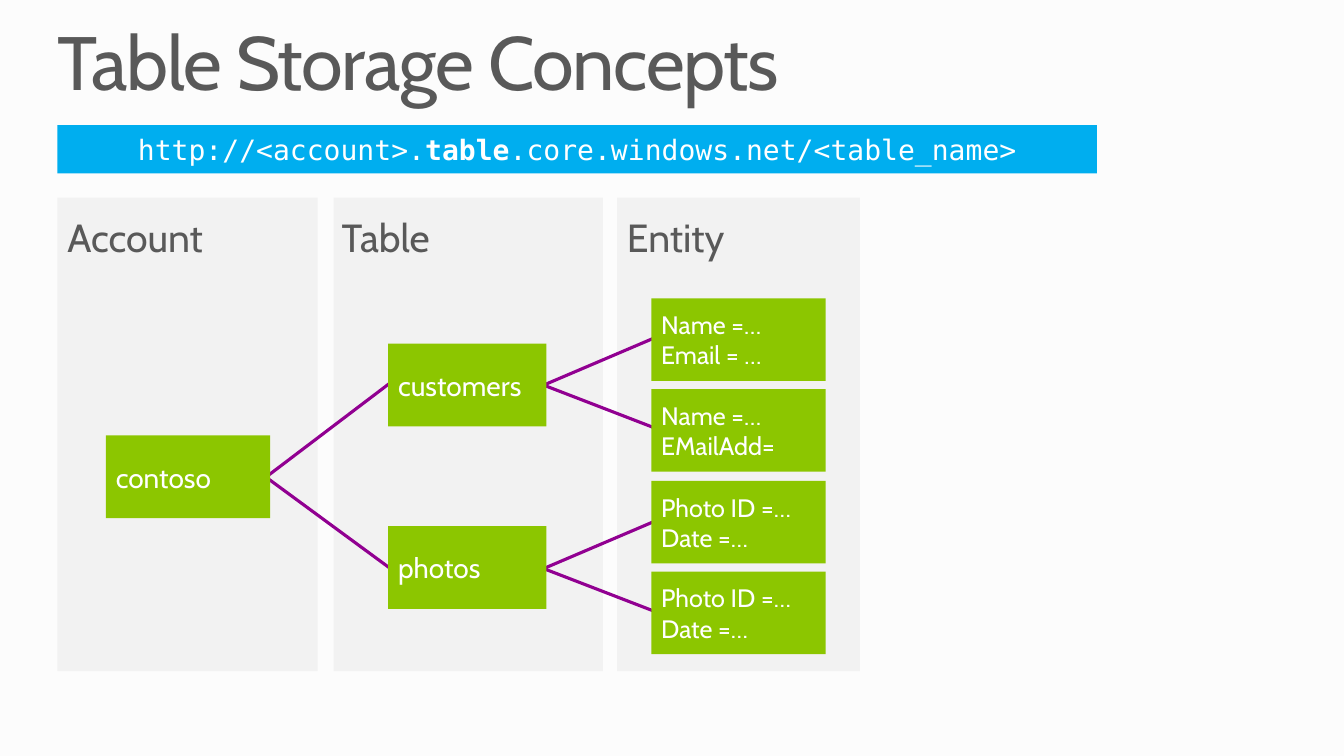
from dataclasses import dataclass

from lxml import etree
from pptx import Presentation
from pptx.dml.color import RGBColor
from pptx.enum.shapes import MSO_CONNECTOR, MSO_SHAPE
from pptx.enum.text import MSO_ANCHOR, PP_ALIGN
from pptx.oxml.ns import qn
from pptx.util import Pt

RECTANGLE = MSO_SHAPE.RECTANGLE
STRAIGHT = MSO_CONNECTOR.STRAIGHT
TOP, MIDDLE = MSO_ANCHOR.TOP, MSO_ANCHOR.MIDDLE
LEFT, CENTER = PP_ALIGN.LEFT, PP_ALIGN.CENTER

EMU_PER_PX = 9144  # 100 px to the inch


@dataclass(frozen=True)
class Theme:
    background: str = "FCFCFC"
    panel: str = "F2F2F2"
    node: str = "8CC600"
    banner: str = "00AEEF"
    link: str = "910091"
    dark_text: str = "595959"
    light_text: str = "FFFFFF"
    font: str = "Cabin"
    code_font: str = "DejaVu Sans Mono"
    title_size: int = 54
    heading_size: int = 28
    label_size: int = 20
    detail_size: int = 18
    link_width: float = 2.25


def px(*lengths):
    return [length * EMU_PER_PX for length in lengths]


def rgb(value):
    return RGBColor.from_string(value)


class SlideBuilder:
    def __init__(self, slide, theme):
        self.slide = slide
        self.theme = theme
        fill = slide.background.fill
        fill.solid()
        fill.fore_color.rgb = rgb(theme.background)

    def rectangle(self, box, color):
        shape = self.slide.shapes.add_shape(RECTANGLE, *px(*box))
        shape.shadow.inherit = False
        shape.fill.solid()
        shape.fill.fore_color.rgb = rgb(color)
        shape.line.fill.background()
        return shape

    def set_text(self, shape, lines, size, color, font=None, anchor=MIDDLE,
                 align=LEFT, insets=(10, 5, 10, 5), spacing=1.0):
        """Fill a shape with lines, each a list of (text, bold) runs."""
        frame = shape.text_frame
        left, top, right, bottom = px(*insets)
        frame_format = {
            "word_wrap": True, "vertical_anchor": anchor,
            "margin_left": left, "margin_top": top,
            "margin_right": right, "margin_bottom": bottom,
        }
        for name, value in frame_format.items():
            setattr(frame, name, value)
        run_format = {"name": font or self.theme.font, "size": Pt(size)}
        for index, runs in enumerate(lines):
            paragraph = frame.add_paragraph() if index else frame.paragraphs[0]
            paragraph.alignment = align
            paragraph.line_spacing = spacing
            for text, bold in runs:
                run = paragraph.add_run()
                run.text = text
                for name, value in {**run_format, "bold": bold}.items():
                    setattr(run.font, name, value)
                run.font.color.rgb = rgb(color)

    def text(self, box, text, size, insets):
        shape = self.slide.shapes.add_textbox(*px(*box))
        self.set_text(shape, [[(text, False)]], size, self.theme.dark_text,
                      anchor=TOP, insets=insets, spacing=0.9)
        return shape

    def title(self, box, text):
        shape = self.text(box, text, self.theme.title_size, (0, 0, 0, 0))
        run = shape.text_frame.paragraphs[0].runs[0]
        run.font._element.set("spc", "-100")

    def panel(self, left, width, heading, heading_left):
        self.rectangle((left, 196, width, 470), self.theme.panel)
        self.text((heading_left, 196, width, 157), heading,
                  self.theme.heading_size, (10, 27, 27, 27))

    def node(self, left, top, width, lines, size):
        shape = self.rectangle((left, top, width, 82), self.theme.node)
        self.set_text(shape, [[(line, False)] for line in lines], size,
                      self.theme.light_text)

    def banner(self, box, runs):
        shape = self.rectangle(box, self.theme.banner)
        self.set_text(shape, [runs], self.theme.label_size,
                      self.theme.light_text, font=self.theme.code_font,
                      align=CENTER)

    def link(self, start, end):
        connector = self.slide.shapes.add_connector(
            STRAIGHT, *px(*start, *end))
        connector.line.color.rgb = rgb(self.theme.link)
        connector.line.width = Pt(self.theme.link_width)
        etree.SubElement(connector._element.spPr, qn("a:effectLst"))


def main():
    presentation = Presentation()
    presentation.slide_width, presentation.slide_height = px(1333, 750)
    slide = presentation.slides.add_slide(presentation.slide_layouts[6])
    theme = Theme()
    builder = SlideBuilder(slide, theme)

    builder.title((57, 25, 1219, 82), "Table Storage Concepts")
    builder.banner((57, 124, 1031, 48), [
        ("http://<account>.", False),
        ("table", True),
        (".core.windows.net/<table_name>", False),
    ])

    builder.panel(57, 258, "Account", 57)
    builder.panel(331, 267, "Table", 329)
    builder.panel(612, 241, "Entity", 612)

    # Link ends lie beneath the nodes, so the links are drawn first.
    builder.link((247, 461), (409, 580))
    builder.link((255, 480), (400, 370))
    for drop in (0, 182):
        builder.link((526, 377 + drop), (666, 431 + drop))
        builder.link((530, 386 + drop), (666, 328 + drop))

    table_pitch = 181
    builder.node(105, 432, 163, ["contoso"], theme.label_size)
    for index, name in enumerate(["customers", "photos"]):
        builder.node(385, 341 + index * table_pitch, 157, [name],
                     theme.label_size)

    entities = [
        ["Name =…", "Email = …"],
        ["Name =…", "EMailAdd="],
        ["Photo ID =…", "Date =…"],
        ["Photo ID =…", "Date =…"],
    ]
    for index, properties in enumerate(entities):
        builder.node(646, 296 + index * table_pitch // 2, 173, properties,
                     theme.detail_size)

    presentation.save("out.pptx")


if __name__ == "__main__":
    main()
